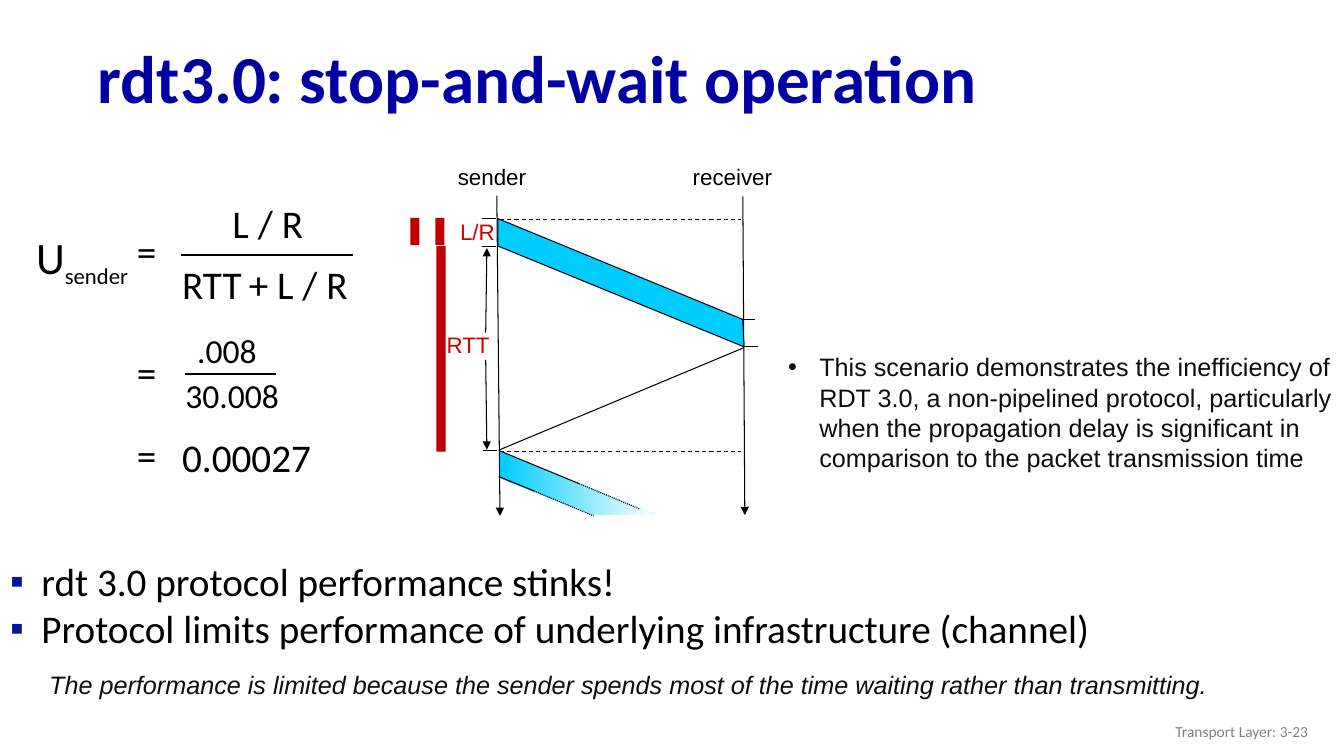
import pptx
import pptx.util
import pptx.dml.color
import pptx.enum.dml
import pptx.enum.shapes
import pptx.enum.text
import pptx.oxml.ns
import lxml.etree

Cm, Pt = pptx.util.Cm, pptx.util.Pt
RGBColor = pptx.dml.color.RGBColor
PP_ALIGN = pptx.enum.text.PP_ALIGN
MSO_ANCHOR = pptx.enum.text.MSO_ANCHOR
MSO_AUTO_SIZE = pptx.enum.text.MSO_AUTO_SIZE
DASH = pptx.enum.dml.MSO_LINE.DASH
DOT = pptx.enum.dml.MSO_LINE.ROUND_DOT
qn = pptx.oxml.ns.qn

NAVY = RGBColor(0x00, 0x00, 0xA3)
BULLET_BLUE = RGBColor(0x00, 0x13, 0xA3)
BLACK = RGBColor(0x00, 0x00, 0x00)
NEAR_BLACK = RGBColor(0x0D, 0x0D, 0x0D)
GREY = RGBColor(0x80, 0x80, 0x80)
WHITE = RGBColor(0xFF, 0xFF, 0xFF)
CYAN = RGBColor(0x00, 0xCC, 0xFF)
LABEL_RED = RGBColor(0xCC, 0x00, 0x00)
BAR_RED = RGBColor(0xC0, 0x00, 0x00)


def place(sp, x, y, w, h):
    sp.left, sp.top, sp.width, sp.height = Cm(x), Cm(y), Cm(w), Cm(h)


def add_run(p, text, size, font="Calibri", color=BLACK, bold=False, italic=False):
    r = p.add_run()
    r.text = text
    r.font.name, r.font.size = font, Pt(size)
    r.font.bold, r.font.italic = bold, italic
    r.font.color.rgb = color
    return r


def add_text(s, box, text, size, align=PP_ALIGN.LEFT, **style):
    sp = s.shapes.add_textbox(*map(Cm, box))
    sp.text_frame.word_wrap = True
    p = sp.text_frame.paragraphs[0]
    p.alignment = align
    add_run(p, text, size, **style)
    return sp


def add_formula(s, box, text, size=28):
    """Add one unwrapped piece of the utilization formula."""
    sp = add_text(s, box, text, size)
    sp.text_frame.word_wrap = False
    sp.text_frame.auto_size = MSO_AUTO_SIZE.SHAPE_TO_FIT_TEXT
    return sp


def set_bullet(p, char, color):
    pPr = p._p.get_or_add_pPr()
    pPr.set("marL", str(Cm(0.79)))
    pPr.set("indent", str(-Cm(0.79)))
    clr = lxml.etree.SubElement(pPr, qn("a:buClr"))
    lxml.etree.SubElement(clr, qn("a:srgbClr")).set("val", str(color))
    lxml.etree.SubElement(pPr, qn("a:buFont")).set("typeface", "Arial")
    lxml.etree.SubElement(pPr, qn("a:buChar")).set("char", char)


def add_line(s, x1, y1, x2, y2, width=0.75, dash=None, arrow=False):
    c = s.shapes.add_connector(pptx.enum.shapes.MSO_CONNECTOR.STRAIGHT,
                               Cm(x1), Cm(y1), Cm(x2), Cm(y2))
    c.line.color.rgb = BLACK
    c.line.width = Pt(width)
    if dash:
        c.line.dash_style = dash
    if arrow:
        ln = c.line._get_or_add_ln()
        lxml.etree.SubElement(ln, qn("a:tailEnd")).set("type", "triangle")
    lxml.etree.SubElement(c._element.spPr, qn("a:effectLst"))


def add_band(s, points):
    """Add the slanted outline of a packet in flight."""
    points = [(Cm(x), Cm(y)) for x, y in points]
    fb = s.shapes.build_freeform(*points[0])
    fb.add_line_segments(points[1:], close=True)
    sp = fb.convert_to_shape()
    sp.shadow.inherit = False
    return sp


def add_bar(s, x, y, h):
    sp = s.shapes.add_shape(pptx.enum.shapes.MSO_SHAPE.RECTANGLE,
                            Cm(x), Cm(y), Cm(0.23), Cm(h))
    sp.shadow.inherit = False
    sp.fill.solid()
    sp.fill.fore_color.rgb = BAR_RED
    sp.line.fill.background()


def add_title(s):
    sp = s.shapes.title
    place(sp, 2.21, 0.81, 30.84, 2.49)
    tf = sp.text_frame
    tf.vertical_anchor = MSO_ANCHOR.MIDDLE
    p = tf.paragraphs[0]
    p.alignment, p.line_spacing = PP_ALIGN.LEFT, 0.9
    add_run(p, "rdt3.0: stop-and-wait operation", 48, color=NAVY, bold=True)


def add_conclusions(s):
    sp = s.placeholders[1]
    place(sp, 0, 13.92, 28.32, 3.43)
    tf = sp.text_frame
    tf.auto_size = MSO_AUTO_SIZE.NONE
    lines = ("rdt 3.0 protocol performance stinks!",
             "Protocol limits performance of underlying infrastructure (channel)")
    for i, line in enumerate(lines):
        p = tf.add_paragraph() if i else tf.paragraphs[0]
        p.space_before = Pt(0)
        set_bullet(p, "▪", BULLET_BLUE)
        add_run(p, line, 28)


def add_timing_diagram(s):
    for x, w, text in ((11.05, 2.46, "sender"), (17.09, 2.62, "receiver")):
        add_text(s, (x, 3.99, w, 0.97), text, 16, PP_ALIGN.RIGHT, font="Arial")
    add_line(s, 12.52, 4.93, 12.6, 13, arrow=True)
    add_line(s, 18.72, 4.95, 18.77, 12.98, arrow=True)
    for y in (5.53, 11.38):
        add_line(s, 12.6, y, 18.68, y, dash=DASH)
    add_line(s, 12.6, 11.33, 18.75, 8.76)

    packet = add_band(s, [(12.55, 5.51), (18.72, 8.05), (18.75, 8.74), (12.55, 6.2)])
    packet.fill.solid()
    packet.fill.fore_color.rgb = CYAN
    packet.line.color.rgb = BLACK
    packet.line.width = Pt(0.75)
    for x, y in ((12.14, 5.51), (12.14, 6.2), (12.17, 11.35), (18.67, 8.05), (18.74, 8.74)):
        add_line(s, x, y, x + 0.36, y)

    next_packet = add_band(s, [(12.6, 11.38), (16.54, 12.98), (14.94, 12.98), (12.6, 12.04)])
    next_packet.fill.gradient()
    next_packet.fill.gradient_angle = 0
    for stop, color, position in zip(next_packet.fill.gradient_stops, (CYAN, WHITE), (0, 1)):
        stop.color.rgb, stop.position = color, position
    next_packet.line.fill.background()
    for start, middle, end in (((12.57, 11.35), (14.6, 12.19), (16.13, 12.83)),
                               ((12.57, 12.01), (13.46, 12.37), (14.96, 13))):
        add_line(s, *start, *middle)
        add_line(s, *middle, *end, dash=DOT)

    for box, text in (((10.34, 8.23, 2.25, 0.94), "RTT"), ((10.36, 5.38, 2.36, 0.94), "L/R")):
        add_text(s, box, text, 16, PP_ALIGN.RIGHT, font="Arial", color=LABEL_RED)
    add_line(s, 12.24, 9.07, 12.27, 11.33, arrow=True)
    add_line(s, 12.24, 8.38, 12.27, 6.25, arrow=True)
    for x, y, h in ((11, 6.2, 5.18), (10.97, 5.49, 0.69), (10.34, 5.49, 0.69)):
        add_bar(s, x, y, h)


def add_utilization(s):
    sp = add_formula(s, (0.66, 5.66, 3.1, 1.63), "U", 32)
    r = add_run(sp.text_frame.paragraphs[0], "sender", 28)
    r._r.get_or_add_rPr().set("baseline", "-25000")
    for y in (5.61, 8.64, 10.74):
        add_formula(s, (3.2, y, 1.02, 1.45), "=")
    add_formula(s, (5.61, 4.9, 2.31, 1.45), "L / R")
    add_line(s, 4.57, 6.43, 8.89, 6.43, 1.75)
    add_formula(s, (4.34, 6.43, 2.03, 1.45), "RTT")
    add_formula(s, (6.02, 6.43, 3.05, 1.45), "+ L / R")
    add_formula(s, (4.72, 8.18, 2.03, 1.27), ".008", 24)
    add_line(s, 4.65, 9.42, 6.96, 9.42, 1.5)
    add_formula(s, (4.42, 9.32, 2.9, 1.27), "30.008", 24)
    add_formula(s, (4.34, 10.8, 3.81, 1.45), "0.00027")


def main():
    prs = pptx.Presentation()
    prs.slide_width, prs.slide_height = Cm(33.87), Cm(19.05)
    s = prs.slides.add_slide(prs.slide_layouts[1])
    add_title(s)
    add_timing_diagram(s)
    add_utilization(s)
    add_conclusions(s)
    footer = add_text(s, (25.6, 17.91, 7.62, 1.02), "Transport Layer: 3-23", 11,
                      PP_ALIGN.RIGHT, color=GREY)
    footer.text_frame.vertical_anchor = MSO_ANCHOR.MIDDLE
    scenario = add_text(
        s, (19.61, 8.74, 14.3, 3.33),
        "This scenario demonstrates the inefficiency of RDT 3.0, a non-pipelined protocol, "
        "particularly when the propagation delay is significant in comparison to the packet "
        "transmission time", 18, font="Arial", color=NEAR_BLACK)
    set_bullet(scenario.text_frame.paragraphs[0], "•", NEAR_BLACK)
    add_text(s, (0.99, 16.74, 31.12, 1.02),
             "The performance is limited because the sender spends most of the time waiting "
             "rather than transmitting.", 18, font="Arial", color=NEAR_BLACK, italic=True)
    prs.save("out.pptx")


if __name__ == "__main__":
    main()
